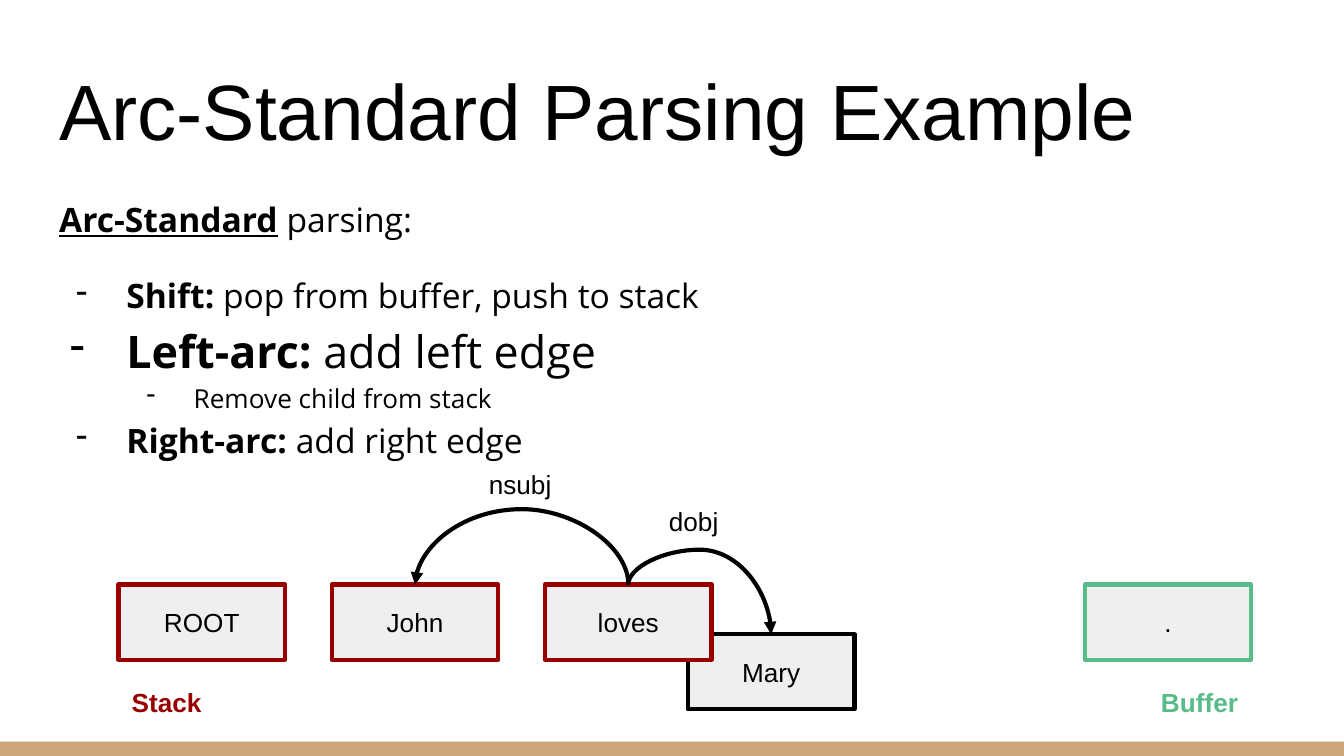
from dataclasses import dataclass

from lxml import etree
from pptx import Presentation
from pptx import util as u
from pptx.dml.color import RGBColor
from pptx.enum import shapes, text
from pptx.oxml import ns

Cm = u.Cm


@dataclass(frozen=True)
class Theme:
    ink: str = "000000"
    box: str = "EFEFEF"
    stack: str = "980000"
    buffer: str = "57BB8A"
    bar: str = "CCA677"
    heading_font: str = "Arial"
    body_font: str = "Open Sans"
    title: int = 42
    large: int = 24
    body: int = 18
    small: int = 14
    line: float = 2.25


THEME = Theme()
LEFT = text.PP_ALIGN.LEFT
CENTER = text.PP_ALIGN.CENTER
RIGHT = text.PP_ALIGN.RIGHT
BOX_WIDTH, BOX_HEIGHT = 3.15, 1.42
ROW_LEFT, ROW_TOP, ROW_STEP = 2.24, 11.05, 4.03


def color(value):
    return RGBColor.from_string(value)


def add_span(para, words, size, font=THEME.heading_font, ink=THEME.ink,
             bold=False, underline=False):
    span = para.add_run()
    span.text = words
    span.font.size = u.Pt(size)
    span.font.name = font
    span.font.color.rgb = color(ink)
    span.font.bold = bold
    span.font.underline = underline


def prepare_frame(shape, anchor=text.MSO_ANCHOR.TOP):
    frame = shape.text_frame
    frame.word_wrap = True
    frame.auto_size = text.MSO_AUTO_SIZE.NONE
    frame.vertical_anchor = anchor
    frame.margin_left = frame.margin_right = Cm(0.25)
    frame.margin_top = frame.margin_bottom = Cm(0.25)
    return frame


def add_title(page, words):
    title = page.shapes.title
    title.left, title.top = Cm(0.87), Cm(0.89)
    title.width, title.height = Cm(23.67), Cm(2.31)
    para = prepare_frame(title, text.MSO_ANCHOR.BOTTOM).paragraphs[0]
    para.alignment = LEFT
    add_span(para, words, THEME.title)


def add_label(page, words, left, top, width, height, align=CENTER,
              ink=THEME.ink, bold=False):
    label = page.shapes.add_textbox(Cm(left), Cm(top), Cm(width), Cm(height))
    para = prepare_frame(label).paragraphs[0]
    para.alignment = align
    add_span(para, words, THEME.small, ink=ink, bold=bold)


def add_rectangle(page, left, top, width, height, fill):
    box = page.shapes.add_shape(shapes.MSO_SHAPE.RECTANGLE, Cm(left), Cm(top),
                                Cm(width), Cm(height))
    box.shadow.inherit = False
    box.fill.solid()
    box.fill.fore_color.rgb = color(fill)
    box.line.fill.background()
    return box


def add_word(page, word, left, top, outline):
    box = add_rectangle(page, left, top, BOX_WIDTH, BOX_HEIGHT, THEME.box)
    box.line.color.rgb = color(outline)
    box.line.width = u.Pt(THEME.line)
    para = prepare_frame(box, text.MSO_ANCHOR.MIDDLE).paragraphs[0]
    para.alignment = CENTER
    add_span(para, word, THEME.small)
    return box


def set_bullet(para, margin, indent):
    props = para._p.get_or_add_pPr()
    props.set("marL", str(Cm(margin)))
    props.set("indent", str(Cm(indent)))
    tint = etree.SubElement(props, ns.qn("a:buClr"))
    etree.SubElement(tint, ns.qn("a:srgbClr"), val=THEME.ink)
    etree.SubElement(props, ns.qn("a:buChar"), char="-")


def add_rules(page):
    area = page.shapes.add_textbox(Cm(0.87), Cm(3.4), Cm(23.67), Cm(9.32))
    frame = prepare_frame(area)
    intro = frame.paragraphs[0]
    intro.line_spacing = 1.15
    add_span(intro, "Arc-Standard", THEME.body, THEME.body_font,
             bold=True, underline=True)
    add_span(intro, " parsing:", THEME.body, THEME.body_font)

    rules = [
        ("Shift:", " pop from buffer, push to stack", THEME.body, 0, -0.95, 16),
        ("Left-arc:", " add left edge", THEME.large, 0, -1.07, 0),
        ("", "Remove child from stack", THEME.small, 1, -0.89, 0),
        ("Right-arc: ", "add right edge", THEME.body, 0, -0.95, 0),
    ]
    for name, action, size, level, indent, before in rules:
        para = frame.add_paragraph()
        para.level = level
        para.line_spacing = 1.15
        para.space_before = u.Pt(before)
        set_bullet(para, 1.27 * (level + 1), indent)
        if name:
            add_span(para, name, size, THEME.body_font, bold=True)
        add_span(para, action, size, THEME.body_font)


def add_arc(page, head, child, rise):
    arc = page.shapes.add_connector(shapes.MSO_CONNECTOR.CURVE, 0, 0, 0, 0)
    arc.begin_connect(head, 0)
    arc.end_connect(child, 0)
    start, end = head.left + head.width // 2, child.left + child.width // 2
    span, drop = abs(end - start), max(child.top - head.top, Cm(0.01))
    arc.left = (start + end - drop) // 2
    arc.top = (head.top + child.top - span) // 2
    arc.width, arc.height = drop, span

    props = arc._element.spPr
    frame = props.find(ns.qn("a:xfrm"))
    for flip in ("flipH", "flipV"):
        frame.attrib.pop(flip, None)
    if end > start:
        frame.set("rot", str(270 * 60000))
        frame.set("flipH", "1")
    else:
        frame.set("rot", str(90 * 60000))
    guides = props.find(ns.qn("a:prstGeom")).get_or_add_avLst()
    bend = round(-Cm(rise) / drop * 100000)
    etree.SubElement(guides, ns.qn("a:gd"), name="adj1", fmla=f"val {bend}")

    arc.line.color.rgb = color(THEME.ink)
    arc.line.width = u.Pt(THEME.line)
    etree.SubElement(arc.line._get_or_add_ln(), ns.qn("a:tailEnd"), type="triangle")
    etree.SubElement(props, ns.qn("a:effectLst"))


def add_parse(page):
    root, john, loves = [ROW_LEFT + i * ROW_STEP for i in range(3)]
    add_word(page, "ROOT", root, ROW_TOP, THEME.stack)
    subject = add_word(page, "John", john, ROW_TOP, THEME.stack)
    target = add_word(page, "Mary", 13, 11.99, THEME.ink)
    verb = add_word(page, "loves", loves, ROW_TOP, THEME.stack)
    add_word(page, ".", 20.5, ROW_TOP, THEME.buffer)
    add_label(page, "Stack", ROW_LEFT, 12.73, 5.84, 1.02, LEFT, THEME.stack, True)
    add_label(page, "Buffer", 17.81, 12.73, 5.84, 1.02, RIGHT, THEME.buffer, True)
    add_arc(page, verb, target, 0.66)
    add_arc(page, verb, subject, 1.42)
    add_label(page, "nsubj", 8.56, 8.61, 2.54, 1.24)
    add_label(page, "dobj", 11.84, 9.3, 2.54, 1.24)


def main():
    deck = Presentation()
    deck.slide_width, deck.slide_height = Cm(25.4), Cm(14.29)
    page = deck.slides.add_slide(deck.slide_layouts[5])
    add_rectangle(page, 0, 14.02, 25.4, 0.27, THEME.bar)
    add_rules(page)
    add_title(page, "Arc-Standard Parsing Example")
    add_parse(page)
    deck.save("out.pptx")


if __name__ == "__main__":
    main()
